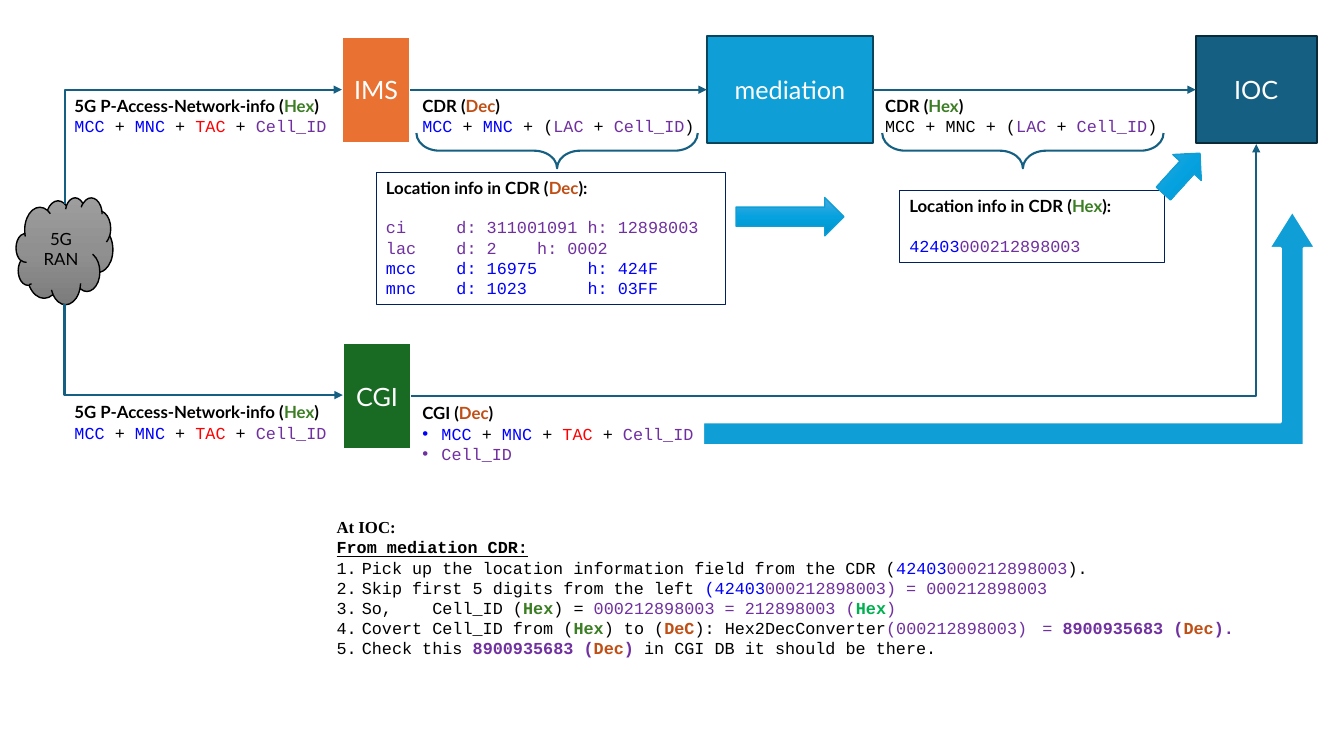
import copy
import dataclasses

import pptx
import pptx.dml.color
import pptx.enum.shapes
import pptx.enum.text
import pptx.oxml.ns
import pptx.util
from lxml import etree

Inches = pptx.util.Inches
Pt = pptx.util.Pt
qn = pptx.oxml.ns.qn
Shape = pptx.enum.shapes.MSO_SHAPE
Connector = pptx.enum.shapes.MSO_CONNECTOR
Anchor = pptx.enum.text.MSO_ANCHOR
Align = pptx.enum.text.PP_ALIGN
AutoSize = pptx.enum.text.MSO_AUTO_SIZE
rgb = pptx.dml.color.RGBColor.from_string

BLACK = rgb("000000")
WHITE = rgb("FFFFFF")
BLUE = rgb("0000FF")
RED = rgb("FF0000")
PURPLE = rgb("7030A0")
HEX_GREEN = rgb("3B7D23")
BRIGHT_GREEN = rgb("00B050")
DEC_ORANGE = rgb("C04F15")
TEAL = rgb("156082")
SKY = rgb("0F9ED5")
NAVY = rgb("002060")
ORANGE = rgb("E97132")
GREEN = rgb("196B24")
MEDIATION_EDGE = rgb("07455D")
IOC_EDGE = rgb("092A39")
GREYS = [rgb("9D9D9D"), rgb("909090"), rgb("7C7C7C")]
SKIES = [rgb("4CAADF"), rgb("05A2DF"), rgb("0092CB")]

SANS = "Lato"
MONO = "Courier New"
SERIF = "Times New Roman"
HEX = ("Hex", HEX_GREEN)
DEC = ("Dec", DEC_ORANGE)


@dataclasses.dataclass
class Line:
    spans: list
    font: str = MONO
    bold: bool = False
    underline: bool = False
    bullet: str = ""
    indent: float = 0
    after: float = 0


def heading(text, base, close=")", after=0):
    return Line([(text + " (", BLACK), base, (close, BLACK)], SANS, True, after=after)


def cell_formula(bullet=""):
    plus = (" + ", BLACK)
    spans = [("MCC", BLUE), plus, ("MNC", BLUE), plus, ("TAC", RED), plus, ("Cell_ID", PURPLE)]
    return Line(spans, bullet=bullet, indent=0.19 if bullet else 0)


def cdr_formula(lead):
    return Line(lead + [(" + (", BLACK), ("LAC", PURPLE), (" + ", BLACK),
                        ("Cell_ID", PURPLE), (")", BLACK)])


def step(*spans):
    return Line(list(spans), bullet="number", indent=0.25)


def set_bullet(para, line):
    props = para._p.get_or_add_pPr()
    props.set("marL", str(Inches(line.indent)))
    props.set("indent", str(-Inches(line.indent)))
    if line.bullet == "number":
        etree.SubElement(props, qn("a:buFont"), typeface="+mj-lt")
        etree.SubElement(props, qn("a:buAutoNum"), type="arabicPeriod")
    else:
        etree.SubElement(props, qn("a:buFont"), typeface="Arial")
        etree.SubElement(props, qn("a:buChar"), char=line.bullet)


def write(frame, lines, size=12, align=Align.LEFT):
    for index, line in enumerate(lines):
        para = frame.add_paragraph() if index else frame.paragraphs[0]
        para.alignment = align
        if line.after:
            para.space_after = Pt(line.after)
        if line.bullet:
            set_bullet(para, line)
        for text, color, *bold in line.spans:
            span = para.add_run()
            span.text = text
            span.font.name = line.font
            span.font.size = Pt(size)
            span.font.bold = bold[0] if bold else line.bold
            span.font.underline = line.underline
            span.font.color.rgb = color


def add_text(page, left, top, width, height, lines, wrap=False):
    box = page.shapes.add_textbox(Inches(left), Inches(top), Inches(width), Inches(height))
    box.text_frame.word_wrap = wrap
    box.text_frame.auto_size = AutoSize.SHAPE_TO_FIT_TEXT
    write(box.text_frame, lines)


def add_shape(page, kind, place, fill, edge, weight, adjust=(), turn=0):
    shape = page.shapes.add_shape(kind, *[Inches(length) for length in place])
    shape.shadow.inherit = False
    shape.rotation = turn
    for index, value in enumerate(adjust):
        shape.adjustments[index] = value
    if fill is None:
        shape.fill.background()
    elif isinstance(fill, list):
        shape.fill.gradient()
        shape.fill.gradient_angle = 270
        stops = shape._element.spPr.find(qn("a:gradFill")).find(qn("a:gsLst"))
        stops.insert(1, copy.deepcopy(stops[0]))
        for index, stop in enumerate(shape.fill.gradient_stops):
            stop.position = index / 2
            stop.color.rgb = fill[index]
    else:
        shape.fill.solid()
        shape.fill.fore_color.rgb = fill
    shape.line.color.rgb = edge
    shape.line.width = Pt(weight)
    return shape


def add_node(page, name, left, top, width, fill, edge, weight):
    node = add_shape(page, Shape.RECTANGLE, (left, top, width, 1.06), fill, edge, weight)
    node.text_frame.vertical_anchor = Anchor.MIDDLE
    write(node.text_frame, [Line([(name, WHITE)], SANS)], 18, Align.CENTER)
    return node


def add_info(page, place, lines):
    info = add_shape(page, Shape.RECTANGLE, place, None, NAVY, 0.75)
    info.text_frame.vertical_anchor = Anchor.TOP
    info.text_frame.auto_size = AutoSize.SHAPE_TO_FIT_TEXT
    write(info.text_frame, lines)


def add_arrow(page, kind, left=0, top=0, width=0, height=0):
    arrow = page.shapes.add_connector(kind, Inches(left), Inches(top),
                                      Inches(left + width), Inches(top + height))
    arrow.line.color.rgb = TEAL
    arrow.line.width = Pt(1.5)
    etree.SubElement(arrow.line._get_or_add_ln(), qn("a:tailEnd"), type="triangle")
    etree.SubElement(arrow._element.spPr, qn("a:effectLst"))
    return arrow


def link(page, source, target):
    arrow = add_arrow(page, Connector.STRAIGHT)
    arrow.begin_connect(source, 3)
    arrow.end_connect(target, 1)


def add_bend(page, place, turn, flips):
    arrow = add_arrow(page, Connector.ELBOW, *place)
    props = arrow._element.spPr
    props.find(qn("a:prstGeom")).set("prst", "bentConnector2")
    frame = props.find(qn("a:xfrm"))
    frame.set("rot", str(turn * 60000))
    for flip in flips:
        frame.set(flip, "1")


def main():
    deck = pptx.Presentation()
    deck.slide_width, deck.slide_height = Inches(13.33), Inches(7.5)
    page = deck.slides.add_slide(deck.slide_layouts[6])

    ran = add_shape(page, Shape.CLOUD, (0.16, 1.96, 0.96, 1.06), GREYS, BLACK, 1)
    ran.text_frame.vertical_anchor = Anchor.MIDDLE
    write(ran.text_frame, [Line([("5G RAN", BLACK)], SANS)], align=Align.CENTER)
    ims = add_node(page, "IMS", 3.39, 0.36, 0.68, ORANGE, WHITE, 2)
    mediation = add_node(page, "mediation", 7.01, 0.36, 1.65, SKY, MEDIATION_EDGE, 1.5)
    ioc = add_node(page, "IOC", 11.86, 0.36, 1.2, TEAL, IOC_EDGE, 1.5)
    add_node(page, "CGI", 3.4, 3.4, 0.68, GREEN, WHITE, 2)

    link(page, ims, mediation)
    link(page, mediation, ioc)
    add_bend(page, (1.57, 2.09, 0.9, 2.76), 270, ["flipH"])
    add_bend(page, (4.08, 1.43, 8.38, 2.5), 0, ["flipV"])
    add_bend(page, (1.45, 0.08, 1.13, 2.75), 90, ["flipH", "flipV"])

    for top in (0.9, 3.94):
        add_text(page, 0.64, top, 2.74, 0.5,
                 [heading("5G P-Access-Network-info", HEX), cell_formula()])
    add_text(page, 4.09, 3.95, 2.93, 0.71,
             [heading("CGI", DEC), cell_formula("•"),
              Line([("Cell_ID", PURPLE)], bullet="•", indent=0.19)])
    add_text(page, 4.09, 0.9, 2.95, 0.5,
             [heading("CDR", DEC), cdr_formula([("MCC", BLUE), (" + ", BLACK), ("MNC", BLUE)])])
    add_text(page, 8.68, 0.9, 2.95, 0.5,
             [heading("CDR", HEX), cdr_formula([("MCC + MNC", BLACK)])])

    fields = [("ci     d: 311001091\th: 12898003", PURPLE), ("lac    d: 2 \th: 0002", PURPLE),
              ("mcc    d: 16975 \th: 424F", BLUE), ("mnc    d: 1023 \th: 03FF", BLUE)]
    add_info(page, (3.73, 1.71, 3.47, 1.31),
             [heading("Location info in CDR", DEC, "):", 14)] + [Line([field]) for field in fields])
    add_info(page, (8.92, 1.89, 2.63, 0.71),
             [heading("Location info in CDR", HEX, "):", 14),
              Line([("42403", BLUE), ("000212898003", PURPLE)])])

    hex_bold, dec_bold = HEX + (True,), DEC + (True,)
    result = ("8900935683 (", PURPLE, True)
    add_text(page, 3.24, 5.08, 9.23, 1.72, [
        Line([("At IOC:", BLACK)], SERIF, True),
        Line([("From mediation CDR:", BLACK)], bold=True, underline=True),
        step(("Pick up the location information field from the CDR (", BLACK),
             ("42403", BLUE), ("000212898003", PURPLE), (").", BLACK)),
        step(("Skip first 5 digits from the left ", BLACK), ("(42403", BLUE),
             ("000212898003) = 000212898003", PURPLE)),
        step(("So,    Cell_ID (", BLACK), hex_bold, (") = ", BLACK),
             ("000212898003 = 212898003 (", PURPLE), ("Hex", BRIGHT_GREEN, True), (")", PURPLE)),
        step(("Covert Cell_ID from (", BLACK), hex_bold, (") to (", BLACK),
             ("DeC", DEC_ORANGE, True), ("): Hex2DecConverter", BLACK),
             ("(000212898003) \t= ", PURPLE), result, dec_bold, (").", PURPLE, True)),
        step(("Check this ", BLACK), result, dec_bold, (") ", PURPLE, True),
             ("in CGI DB it should be there.", BLACK)),
    ], wrap=True)

    add_shape(page, Shape.RIGHT_ARROW, (7.3, 1.96, 1.07, 0.38), SKIES, SKY, 1)
    for left in (5.35, 9.97):
        add_shape(page, Shape.RIGHT_BRACE, (left, 0.1, 0.35, 2.79), None, TEAL, 1.5,
                  (0.65, 0.5), 90)
    add_shape(page, Shape.BENT_UP_ARROW, (6.97, 2.09, 6.08, 2.33), SKY, WHITE, 2, (0.1, 0.1, 0.16))
    add_shape(page, Shape.RIGHT_ARROW, (11.45, 1.53, 0.54, 0.38), SKIES, SKY, 1, turn=312.2)
    deck.save("out.pptx")


if __name__ == "__main__":
    main()
